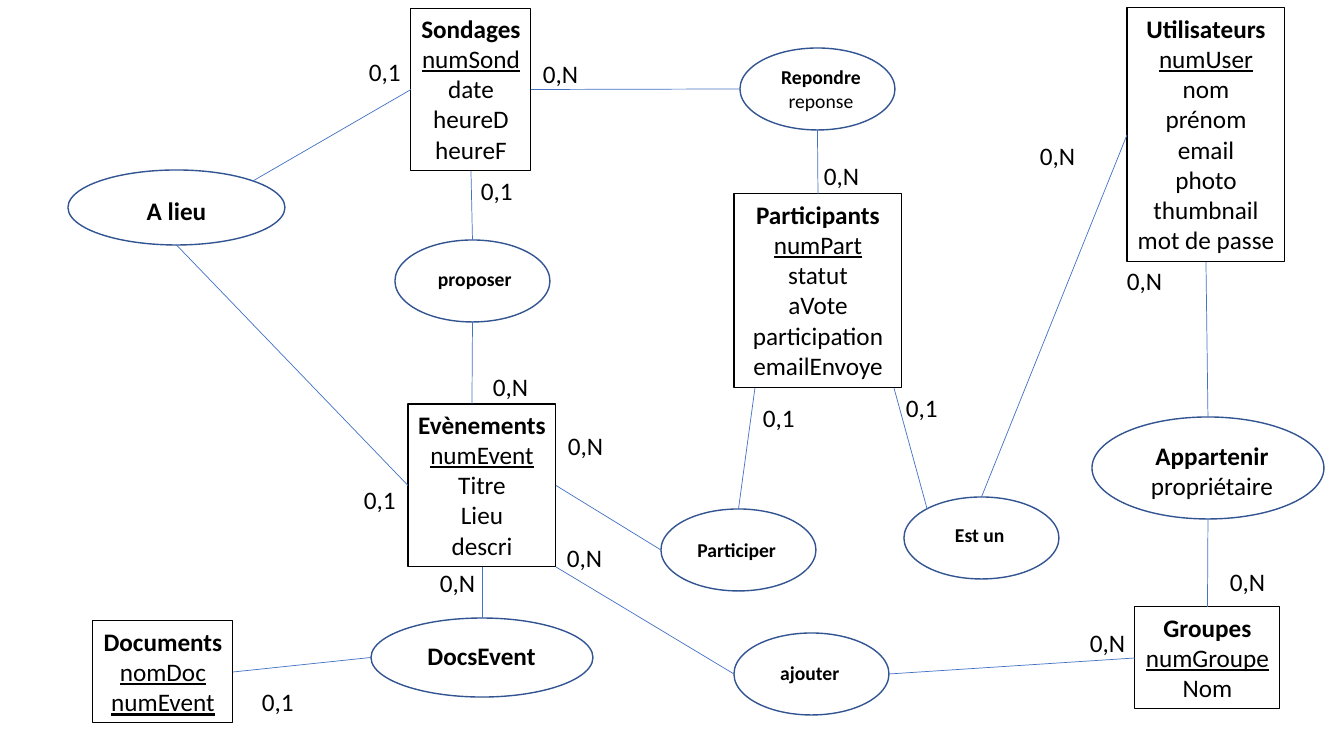
from dataclasses import dataclass

from lxml.etree import SubElement
from pptx import Presentation
from pptx.dml.color import RGBColor
from pptx.enum.shapes import MSO_CONNECTOR, MSO_SHAPE
from pptx.enum.text import MSO_AUTO_SIZE, PP_ALIGN
from pptx.oxml.ns import qn
from pptx.util import Emu, Inches, Pt

SCALE = Inches(1) / 100.8


@dataclass(frozen=True)
class Theme:
    """Colours, font and sizes of the diagram."""
    font: str = "Calibri"
    ink: RGBColor = RGBColor(0, 0, 0)
    oval: RGBColor = RGBColor(0x32, 0x54, 0x91)
    link: RGBColor = RGBColor(0x44, 0x72, 0xC4)
    large: Pt = Pt(18)
    small: Pt = Pt(14)
    box_line: Pt = Pt(0.75)
    oval_line: Pt = Pt(1)
    link_line: Pt = Pt(0.5)


THEME = Theme()

BOX_PORTS = {"top": (0, 0.5, 0), "left": (1, 0, 0.5),
             "bottom": (2, 0.5, 1), "right": (3, 1, 0.5)}
OVAL_PORTS = {"top": (0, 0.5, 0), "top left": (1, 0.15, 0.15),
              "left": (2, 0, 0.5), "bottom": (4, 0.5, 1),
              "right": (6, 1, 0.5), "top right": (7, 0.85, 0.15)}

ENTITIES = [
    ("Utilisateurs", (1127, 8, 158, 254), ["numUser"],
     ["nom", "prénom", "email", "photo", "thumbnail", "mot de passe"]),
    ("Evènements", (408, 404, 148, 163), ["numEvent"],
     ["Titre", "Lieu", "descri"]),
    ("Groupes", (1135, 607, 145, 102), ["numGroupe"], ["Nom"]),
    ("Documents", (93, 621, 140, 102), ["nomDoc", "numEvent"], []),
    ("Sondages", (411, 8, 120, 163), ["numSond"],
     ["date", "heureD", "heureF"]),
    ("Participants", (734, 194, 168, 194), ["numPart"],
     ["statut", "aVote", "participation", "emailEnvoye"]),
]

LARGE_OVALS = [
    ("Appartenir", (1092, 417, 232, 102), (1140, 435, 144, 72),
     ["propriétaire"]),
    ("A lieu", (68, 170, 217, 75), (136, 190, 81, 40), []),
    ("DocsEvent", (371, 618, 222, 79), (417, 635, 129, 40), []),
]

SMALL_OVALS = [
    ("proposer ", (395, 240), (418, 262), []),
    ("Repondre", (740, 48), (762, 60), ["reponse"]),
    ("Est un ", (904, 497), (923, 518), []),
    ("Participer ", (661, 509), (680, 533), []),
    ("ajouter ", (734, 633), (753, 656), []),
]

LINKS = [
    (("A lieu", "bottom"), ("Evènements", "left")),
    (("Sondages", "left"), ("A lieu", "top right")),
    (("Evènements", "bottom"), ("DocsEvent", "top")),
    (("Documents", "right"), ("DocsEvent", "left")),
    (("Appartenir", "top"), ("Utilisateurs", "bottom")),
    (("Groupes", "top"), ("Appartenir", "bottom")),
    ((472, 404), ("proposer", "bottom")),
    (("proposer", "top"), ("Sondages", "bottom")),
    (("Repondre", "left"), ("Sondages", "right")),
    (("Participants", "top"), ("Repondre", "bottom")),
    (("Est un", "top left"), (894, 388)),
    (("Est un", "top"), ("Utilisateurs", "left")),
    (("Participer", "top"), (755, 388)),
    (("Participer", "left"), ("Evènements", "right")),
    (("ajouter", "right"), ("Groupes", "left")),
    ((556, 567), ("ajouter", "left")),
]

COUNTS = {
    "0,1": [(359, 51), (354, 479), (252, 681), (896, 387), (753, 397),
            (471, 170)],
    "0,N": [(430, 562), (1117, 260), (1030, 135), (1220, 561), (483, 366),
            (558, 425), (814, 155), (533, 53), (557, 537), (1080, 622)],
}


def px(*values):
    """Turn pixels into EMU."""
    return [Emu(round(value * SCALE)) for value in values]


def add_text(slide, area, rows, size, align=PP_ALIGN.CENTER, wrap=False):
    """Add a text box from rows of (text, bold, underline)."""
    box = slide.shapes.add_textbox(*px(*area))
    frame = box.text_frame
    frame.word_wrap = wrap
    frame.auto_size = MSO_AUTO_SIZE.SHAPE_TO_FIT_TEXT
    for i, (text, bold, under) in enumerate(rows):
        para = frame.paragraphs[0] if i == 0 else frame.add_paragraph()
        para.text = text
        para.alignment = align
        font = para.font
        font.name, font.size = THEME.font, size
        font.bold, font.underline = bold, under
        font.color.rgb = THEME.ink
    return box


def add_box(slide, name, area, keys, fields):
    """Add an entity with its underlined keys and plain fields."""
    rows = [(name, True, False)]
    rows += [(key, False, True) for key in keys]
    rows += [(field, False, False) for field in fields]
    box = add_text(slide, area, rows, THEME.large, wrap=name == "Participants")
    box.line.color.rgb = THEME.ink
    box.line.width = THEME.box_line
    return box, BOX_PORTS


def add_oval(slide, name, area, label, fields, size, wrap):
    """Add a relation as an outlined ellipse with its label."""
    oval = slide.shapes.add_shape(MSO_SHAPE.OVAL, *px(*area))
    oval.shadow.inherit = False
    oval.fill.background()
    oval.line.color.rgb = THEME.oval
    oval.line.width = THEME.oval_line
    rows = [(name, True, False)] + [(field, False, False) for field in fields]
    add_text(slide, label, rows, size, wrap=wrap)
    return oval, OVAL_PORTS


def find_end(nodes, end):
    """Return the point, shape and port number of a link's end."""
    if end[0] not in nodes:
        return px(*end), None, None
    shape, ports = nodes[end[0]]
    port, across, down = ports[end[1]]
    point = (Emu(round(shape.left + across * shape.width)),
             Emu(round(shape.top + down * shape.height)))
    return point, shape, port


def glue(line, join, tag, shape, port):
    """Glue one end of a line to any port of a shape."""
    if shape is not None:
        join(shape, 0)
        line._element.find(f".//{qn(tag)}").set("idx", str(port))


def add_link(slide, nodes, start, stop):
    """Join two ends with a thin line, glued where an end is a shape."""
    head, source, out = find_end(nodes, start)
    tail, target, into = find_end(nodes, stop)
    line = slide.shapes.add_connector(MSO_CONNECTOR.STRAIGHT, *head, *tail)
    glue(line, line.begin_connect, "a:stCxn", source, out)
    glue(line, line.end_connect, "a:endCxn", target, into)
    line.begin_x, line.begin_y = head
    line.end_x, line.end_y = tail
    line.line.color.rgb = THEME.link
    line.line.width = THEME.link_line
    SubElement(line._element.spPr, qn("a:effectLst"))


def main():
    """Build the entity diagram and save it."""
    deck = Presentation()
    deck.slide_width, deck.slide_height = px(1344, 756)
    slide = deck.slides.add_slide(deck.slide_layouts[6])
    nodes = {}
    for name, *rest in ENTITIES:
        nodes[name] = add_box(slide, name, *rest)
    for name, *rest in LARGE_OVALS:
        nodes[name] = add_oval(slide, name, *rest, THEME.large, False)
    for name, spot, label, fields in SMALL_OVALS:
        tall = 57 if fields else 34
        nodes[name.strip()] = add_oval(slide, name, (*spot, 155, 82),
                                       (*label, 118, tall), fields,
                                       THEME.small, True)
    for start, stop in LINKS:
        add_link(slide, nodes, start, stop)
    for count, spots in COUNTS.items():
        wide = 52 if count == "0,1" else 56
        for spot in spots:
            add_text(slide, (*spot, wide, 40), [(count, False, False)],
                     THEME.large, PP_ALIGN.LEFT)
    deck.save("out.pptx")


main()
